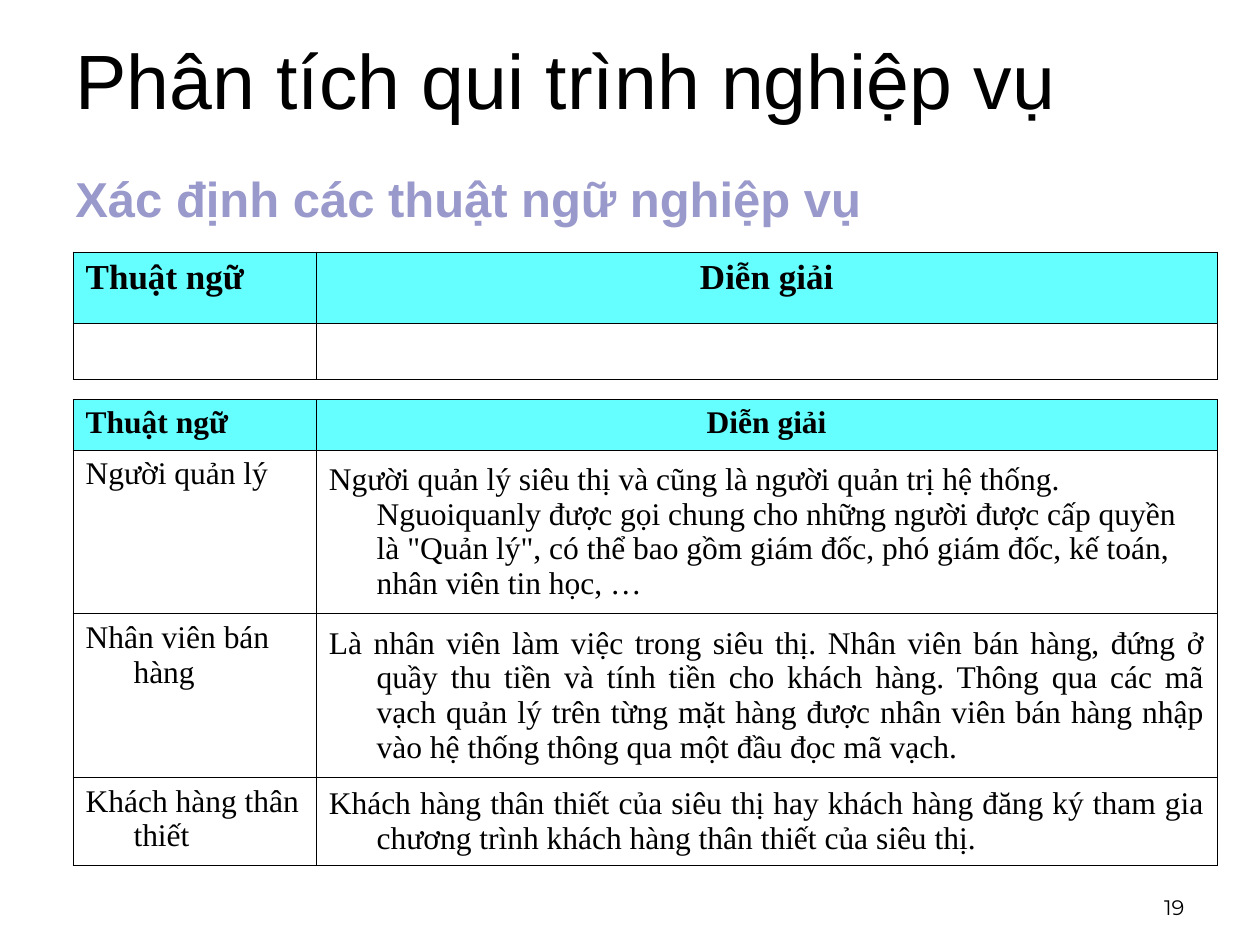
from lxml.etree import SubElement
from pptx import Presentation
from pptx.dml.color import RGBColor
from pptx.enum.text import MSO_ANCHOR, PP_ALIGN
from pptx.oxml.ns import qn
from pptx.util import Inches, Pt

BLACK = RGBColor(0x00, 0x00, 0x00)
LAVENDER = RGBColor(0x99, 0x99, 0xCC)
CYAN = RGBColor(0x66, 0xFF, 0xFF)

LEFT, CENTER = PP_ALIGN.LEFT, PP_ALIGN.CENTER
RIGHT, JUSTIFY = PP_ALIGN.RIGHT, PP_ALIGN.JUSTIFY
TABLE_LEFT = 0.58
COLUMN_WIDTHS = [1.93, 7.15]
HEADER = [("Thuật ngữ", LEFT), ("Diễn giải", CENTER)]
TERMS = [
    [("Người quản lý ", JUSTIFY),
     ("Người quản lý siêu thị và cũng là người quản trị hệ thống. "
      "Nguoiquanly được gọi chung cho những người được cấp quyền là "
      "\"Quản lý\", có thể bao gồm giám đốc, phó giám đốc, kế toán, "
      "nhân viên tin học, …", LEFT)],
    [("Nhân viên bán hàng", LEFT),
     ("Là nhân viên làm việc trong siêu thị. Nhân viên bán hàng, đứng ở "
      "quầy thu tiền và tính tiền cho khách hàng. Thông qua các mã vạch "
      "quản lý trên từng mặt hàng được nhân viên bán hàng nhập vào hệ "
      "thống thông qua một đầu đọc mã vạch.", JUSTIFY)],
    [("Khách hàng thân thiết", LEFT),
     ("Khách hàng thân thiết của siêu thị hay khách hàng đăng ký tham gia "
      "chương trình khách hàng thân thiết của siêu thị.", JUSTIFY)],
]


def set_values(target, values):
    """Set each named attribute of the target."""
    for name, value in values.items():
        setattr(target, name, value)


def write_text(text_frame, text, font_name, size, alignment=LEFT,
               color=BLACK, bold=False, hanging=False):
    """Write one formatted paragraph into a text frame."""
    paragraph = text_frame.paragraphs[0]
    paragraph.alignment = alignment
    if hanging:
        properties = paragraph._p.get_or_add_pPr()
        properties.set("marL", str(Inches(0.38)))
        properties.set("indent", str(-Inches(0.38)))
    if text:
        paragraph.add_run().text = text
    set_values(paragraph.font, {"name": font_name, "size": Pt(size), "bold": bold})
    paragraph.font.color.rgb = color
    for run in paragraph.runs:
        set_values(run.font, {"name": font_name, "size": Pt(size), "bold": bold})
        run.font.color.rgb = color


def place(shape, left, top, width, height):
    """Move and size a shape in inches."""
    set_values(shape, {"left": Inches(left), "top": Inches(top),
                       "width": Inches(width), "height": Inches(height)})


def add_text(slide, box, text, anchor, top_margin, **text_format):
    """Add a wrapping text box."""
    shape = slide.shapes.add_textbox(*map(Inches, box))
    set_values(shape.text_frame, {"word_wrap": True, "vertical_anchor": anchor,
                                  "margin_top": Inches(top_margin)})
    write_text(shape.text_frame, text, **text_format)


def add_borders(cell):
    """Draw thin black lines on the four sides of a cell."""
    properties = cell._tc.get_or_add_tcPr()
    for position, side in enumerate(("lnL", "lnR", "lnT", "lnB")):
        line = SubElement(properties, qn(f"a:{side}"), w=str(Pt(0.45)))
        properties.insert(position, line)
        fill = SubElement(line, qn("a:solidFill"))
        SubElement(fill, qn("a:srgbClr"), val=str(BLACK))


def add_glossary(slide, top, row_heights, rows, header_size):
    """Add a two-column table of terms with a coloured header row."""
    frame = slide.shapes.add_table(
        len(rows), len(COLUMN_WIDTHS), Inches(TABLE_LEFT), Inches(top),
        Inches(sum(COLUMN_WIDTHS)), Inches(sum(row_heights)))
    table = frame.table
    set_values(table, {"first_row": False, "horz_banding": False})
    for column, width in zip(table.columns, COLUMN_WIDTHS):
        column.width = Inches(width)
    for row_index, (height, entries) in enumerate(zip(row_heights, rows)):
        table.rows[row_index].height = Inches(height)
        is_header = row_index == 0
        for column_index, (text, alignment) in enumerate(entries):
            cell = table.cell(row_index, column_index)
            if is_header:
                cell.fill.solid()
                cell.fill.fore_color.rgb = CYAN
            else:
                cell.fill.background()
                if column_index == 1:
                    cell.vertical_anchor = MSO_ANCHOR.MIDDLE
            write_text(cell.text_frame, text, "Times New Roman",
                       header_size if is_header else 18, alignment,
                       bold=is_header, hanging=True)
            add_borders(cell)


def main():
    """Build the slide and save it."""
    presentation = Presentation()
    set_values(presentation, {"slide_width": Inches(10), "slide_height": Inches(7.5)})
    slide = presentation.slides.add_slide(presentation.slide_layouts[5])
    title = slide.shapes.title
    place(title, 0.5, 0, 9, 1.25)
    title.text_frame.vertical_anchor = MSO_ANCHOR.MIDDLE
    write_text(title.text_frame, "Phân tích qui trình nghiệp vụ", "Arial", 44)
    add_text(slide, (0.5, 1.25, 8.75, 1), "Xác định các thuật ngữ nghiệp vụ",
             MSO_ANCHOR.TOP, 0.09, font_name="Arial", size=28,
             color=LAVENDER, bold=True, hanging=True)
    add_glossary(slide, 2, [0.57, 0.44], [HEADER, [("", LEFT)] * 2], 20)
    add_glossary(slide, 3.17, [0.4, 1.3, 1.3, 0.7], [HEADER, *TERMS], 18)
    add_text(slide, (7.17, 6.83, 2.33, 0.52), "19", MSO_ANCHOR.BOTTOM, 0.05,
             font_name="Montserrat", size=12, alignment=RIGHT)
    presentation.save("out.pptx")


if __name__ == "__main__":
    main()
